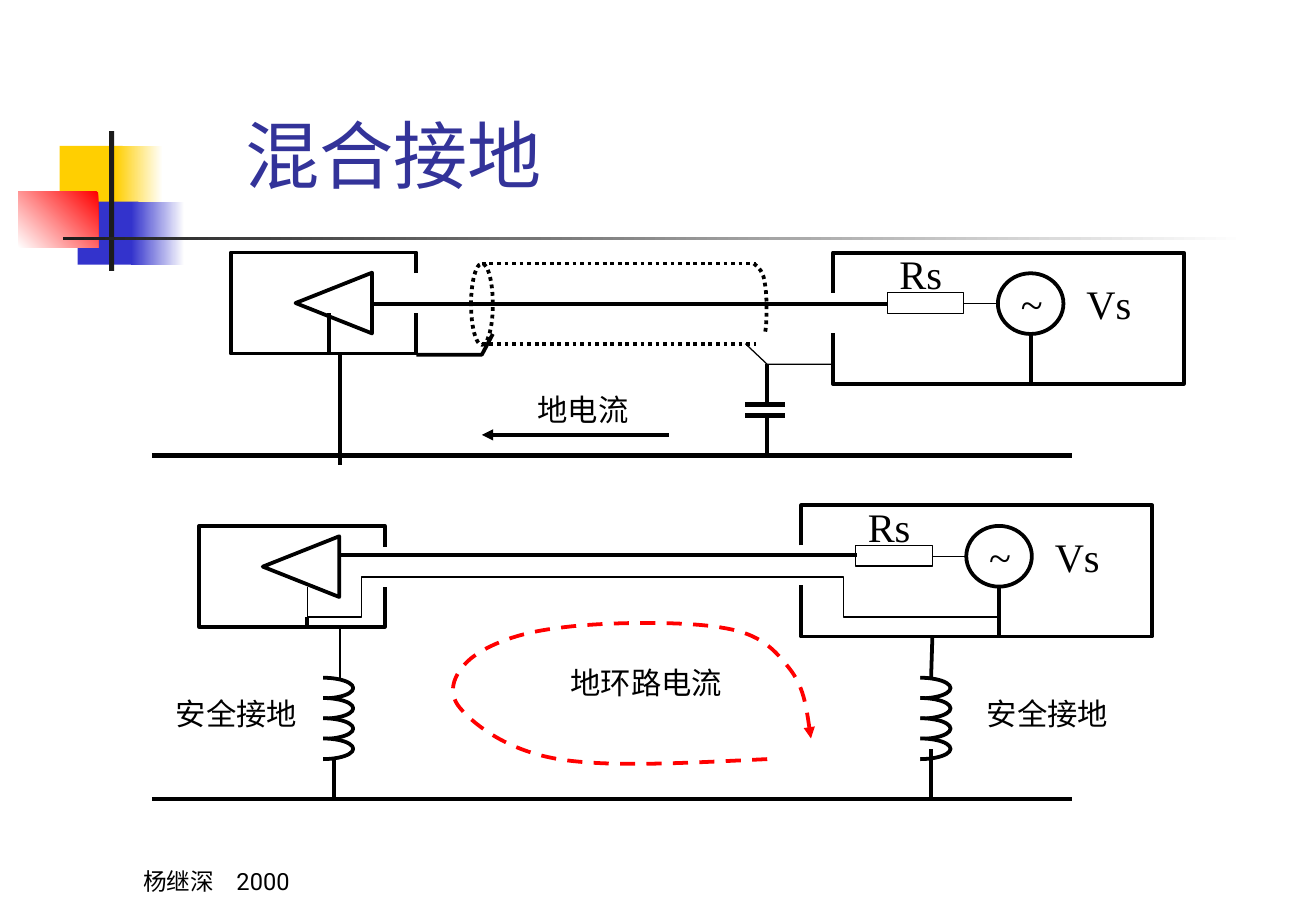
import pptx
import pptx.util
import pptx.dml.color
import pptx.enum.dml
import pptx.enum.shapes
import pptx.enum.text
import pptx.oxml.ns
import lxml.etree

Inches = pptx.util.Inches
Pt = pptx.util.Pt
Kind = pptx.enum.shapes.MSO_SHAPE
Dash = pptx.enum.dml.MSO_LINE
Anchor = pptx.enum.text.MSO_ANCHOR
qn = pptx.oxml.ns.qn

COLOURS = {
    "black": "000000", "white": "FFFFFF", "yellow": "FFCF01", "blue": "3333CC",
    "red": "FF0000", "dark": "1C1C1C", "title": "333399",
}
SERIF, SANS = "Times New Roman", "Roboto"
THIN, THICK, HEAVY = 0.75, 2.25, 3

DECORATION = [
    ((0.49, 1.2, 0.52, 0.52), ["yellow"], 0),
    ((0.95, 1.2, 0.39, 0.52), ["white", "yellow"], 180),
    ((0.64, 1.66, 0.5, 0.52), ["blue"], 0),
    ((1.08, 1.66, 0.44, 0.52), ["white", "blue"], 180),
    ((0.15, 1.58, 0.66, 0.46), ["red", "white"], 225),
    ((0.9, 1.08, 0.04, 1.15), ["dark"], 0),
    ((0.52, 1.95, 9.75, 0.03), ["white", "dark"], 180),
]
TITLE = ("混合接地", (1.92, 0.84, 8.12, 0.84), 44, SANS, "title", 0, Anchor.BOTTOM)
FOOTER = ("杨继深\t2000", (1.08, 6.92, 2.26, 0.5), 14, SANS, "black", 0, Anchor.BOTTOM)
FOOTER_TAB = 0.77
LABELS = [
    ("地电流", 4.33, 3.17, 1.08),
    ("地环路电流", 4.6, 5.42, 1.81),
    ("安全接地", 1.35, 5.67, 1.44),
    ("安全接地", 8.03, 5.67, 1.44),
]
WIRES = [
    (6.32, 3, 6.32, 3.33, THICK),
    (6.14, 3.33, 6.47, 3.33, HEAVY),
    (6.14, 3.42, 6.47, 3.42, HEAVY),
    (6.32, 3.42, 6.32, 3.75, THICK),
    (1.25, 3.75, 8.83, 3.75, HEAVY),
    (2.8, 2.92, 2.8, 3.83, THICK),
    (2.71, 2.58, 2.71, 2.92, THICK),
    (3.07, 2.5, 7.31, 2.5, THICK),
    (2.53, 5.08, 2.53, 5.17, THICK),
    (7.68, 5.25, 7.67, 5.58, THICK),
    (2.75, 6.25, 2.75, 6.58, THICK),
    (7.67, 6.17, 7.67, 6.58, THICK),
    (1.25, 6.58, 8.83, 6.58, THICK),
    (2.81, 4.57, 7.06, 4.57, THICK),
    (2.8, 5.17, 2.8, 5.58, THIN),
]
COILS = [(2.33, 5.5), (7.25, 5.5)]
SOURCES = [(6.86, 2.08), (6.6, 4.16)]
RECEIVERS = [((1.9, 2.08), (2.5, 2.18)), ((1.64, 4.33), (2.23, 4.35))]
SHIELD_TAP = [(3.43, 2.92), (3.97, 2.92), (4.06, 2.75)]
CAPACITOR_TAP = [(6.14, 2.83), (6.32, 3), (6.86, 3)]
RETURN_WIRE = [(2.53, 4.83), (2.53, 5.08), (2.98, 5.08), (2.98, 4.75),
               (6.95, 4.75), (6.95, 5.08), (8.22, 5.08)]
SHIELD_END = [(6.21, 2.17), (6.25, 2.2), (6.29, 2.24), (6.3, 2.33),
              (6.32, 2.43), (6.32, 2.67), (6.3, 2.75)]
GROUND_LOOP = [(6.32, 6.25), (5.67, 6.28), (5.03, 6.32), (4.6, 6.25),
               (4.18, 6.18), (3.91, 5.97), (3.79, 5.83),
               (3.67, 5.69), (3.75, 5.53), (3.88, 5.42),
               (4.02, 5.31), (4.26, 5.21), (4.6, 5.17),
               (4.95, 5.12), (5.64, 5.11), (5.96, 5.17),
               (6.27, 5.22), (6.38, 5.35), (6.5, 5.5),
               (6.62, 5.65), (6.65, 5.87), (6.68, 6.08)]

deck = pptx.Presentation()
deck.slide_width, deck.slide_height = Inches(10.84), Inches(7.5)
page = deck.slides.add_slide(deck.slide_layouts[6])


def rgb(name):
    return pptx.dml.color.RGBColor.from_string(COLOURS[name])


def stroke(item, width, dash=None, colour="black", arrow=False):
    item.line.width = Pt(width)
    item.line.color.rgb = rgb(colour)
    if dash:
        item.line.dash_style = dash
    if arrow:
        line = item._element.spPr.find(qn("a:ln"))
        lxml.etree.SubElement(line, qn("a:tailEnd"), type="triangle")


def add_wire(x1, y1, x2, y2, width, dash=None, arrow=False):
    wire = page.shapes.add_connector(pptx.enum.shapes.MSO_CONNECTOR.STRAIGHT,
                                     Inches(x1), Inches(y1), Inches(x2), Inches(y2))
    stroke(wire, width, dash, arrow=arrow)
    lxml.etree.SubElement(wire._element.spPr, qn("a:effectLst"))


def add_box(kind, place, width=None, fills=(), angle=0, dash=None):
    box = page.shapes.add_shape(kind, *map(Inches, place))
    box.shadow.inherit = False
    if len(fills) == 2:
        box.fill.gradient()
        box.fill.gradient_angle = angle
        for stop, position, name in zip(box.fill.gradient_stops, (0, 1), fills):
            stop.position = position
            stop.color.rgb = rgb(name)
    elif fills:
        box.fill.solid()
        box.fill.fore_color.rgb = rgb(fills[0])
    else:
        box.fill.background()
    if width:
        stroke(box, width, dash)
    else:
        box.line.fill.background()
    return box


def add_outline(points, width, curved=False, **style):
    spots = [(Inches(x), Inches(y)) for x, y in points]
    builder = page.shapes.build_freeform(*spots[0])
    builder.add_line_segments(spots[1:], close=False)
    outline = builder.convert_to_shape()
    outline.shadow.inherit = False
    outline.fill.background()
    stroke(outline, width, **style)
    if curved:
        route = next(outline._element.iter(qn("a:path")))
        steps = route.findall(qn("a:lnTo"))
        for first in range(0, len(steps), 3):
            curve = lxml.etree.SubElement(route, qn("a:cubicBezTo"))
            for step in steps[first:first + 3]:
                curve.append(step[0])
                route.remove(step)


def add_text(text, place, size, font=SERIF, colour="black", before=0, anchor=Anchor.TOP):
    box = page.shapes.add_textbox(*map(Inches, place))
    box.text_frame.word_wrap = True
    box.text_frame.vertical_anchor = anchor
    para = box.text_frame.paragraphs[0]
    para.space_before = Pt(before)
    span = para.add_run()
    span.text = text
    span.font.size, span.font.name = Pt(size), font
    span.font.color.rgb = rgb(colour)
    return para


def add_enclosure(x, y, width, height, gap_top, gap_bottom, side):
    near, far = (x + width, x) if side == "right" else (x, x + width)
    add_outline([(near, y + gap_top), (near, y), (far, y), (far, y + height),
                 (near, y + height), (near, y + gap_bottom)], THICK)


def add_coil(x, y):
    for turn in range(4):
        add_box(Kind.OVAL, (x + 0.08, y + 0.08 + turn / 6, 0.5, 0.17), THICK, ["white"])
    add_box(Kind.RECTANGLE, (x, y, 0.33, 0.83), fills=["white"])


def add_source(x, y):
    add_enclosure(x, y, 2.89, 1.08, 0.33, 0.66, "left")
    add_box(Kind.OVAL, (x + 1.36, y + 0.17, 0.54, 0.5), THICK)
    add_box(Kind.RECTANGLE, (x + 0.45, y + 0.33, 0.63, 0.17), THIN)
    add_wire(x + 1.08, y + 0.42, x + 1.36, y + 0.42, THIN)
    add_wire(x + 1.63, y + 0.67, x + 1.63, y + 1.08, THICK)
    for text, dx, dy, width in [("~", 1.45, 0.17, 0.42), ("Vs", 1.99, 0.17, 0.63),
                                ("Rs", 0.45, -0.08, 0.63)]:
        add_text(text, (x + dx, y + dy, width, 0.5), 24, before=15)


def main():
    """Draw the hybrid grounding slide."""
    for place, fills, angle in DECORATION:
        add_box(Kind.RECTANGLE, place, fills=fills, angle=angle)
    add_text(*TITLE)
    for coil in COILS:
        add_coil(*coil)
    for wire in WIRES:
        add_wire(*wire)
    for source in SOURCES:
        add_source(*source)
    for enclosure, amplifier in RECEIVERS:
        add_enclosure(*enclosure, 1.53, 0.83, 0.17, 0.5, "right")
        add_box(Kind.ISOSCELES_TRIANGLE, (*amplifier, 0.5, 0.63), THICK).rotation = 270
    add_box(Kind.OVAL, (3.88, 2.17, 0.18, 0.67), THICK, dash=Dash.ROUND_DOT)
    for y in (2.17, 2.83):
        add_wire(3.97, y, 6.23, y, THICK, Dash.ROUND_DOT)
    add_outline(SHIELD_END, THICK, curved=True, dash=Dash.ROUND_DOT)
    add_outline(SHIELD_TAP, THICK)
    add_outline(CAPACITOR_TAP, THIN)
    add_outline(RETURN_WIRE, THIN)
    add_wire(5.51, 3.58, 3.97, 3.58, THICK, arrow=True)
    add_outline(GROUND_LOOP, THICK, curved=True, dash=Dash.DASH, colour="red", arrow=True)
    for text, x, y, width in LABELS:
        add_text(text, (x, y, width, 0.4), 18, before=11.2)
    footer = add_text(*FOOTER)
    tabs = lxml.etree.SubElement(footer._p.get_or_add_pPr(), qn("a:tabLst"))
    lxml.etree.SubElement(tabs, qn("a:tab"), pos=str(Inches(FOOTER_TAB)), algn="l")
    deck.save("out.pptx")


if __name__ == "__main__":
    main()
